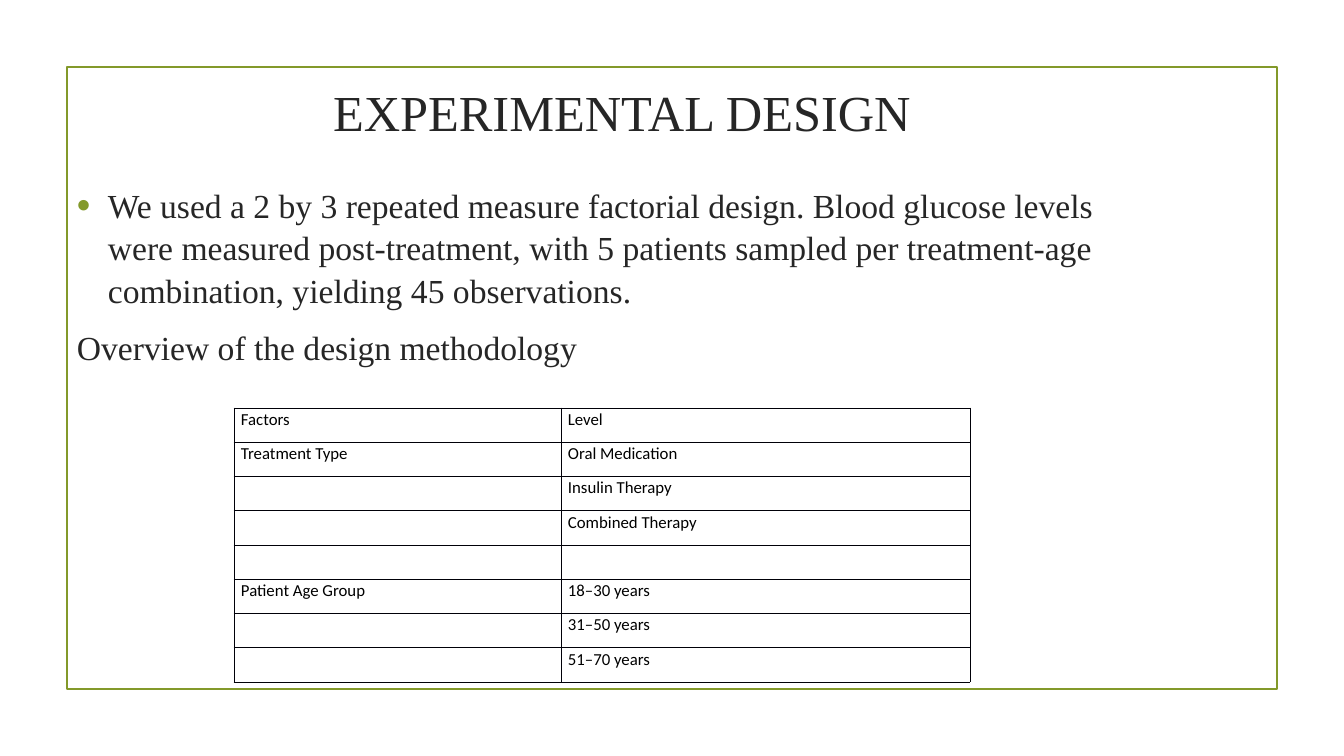
from lxml.etree import SubElement
from pptx import Presentation
from pptx.dml.color import RGBColor
from pptx.enum.shapes import MSO_SHAPE as Preset
from pptx.enum.text import MSO_ANCHOR as Anchor, PP_ALIGN as Align
from pptx.oxml.ns import qn
from pptx.util import Emu, Pt

PX = 914400 / 100.8
GREEN = RGBColor(0x83, 0x99, 0x2A)
DARK = RGBColor(0x26, 0x26, 0x26)
BLACK = RGBColor(0x00, 0x00, 0x00)
BORDER = RGBColor(0x00, 0x00, 0x08)

SERIF = "Times New Roman"
TITLE_FONT = {"name": SERIF, "size": Pt(36)}
BODY_FONT = {"name": SERIF, "size": Pt(24)}
CELL_FONT = {"name": "Calibri", "size": Pt(12)}
BODY_SPACING = {"space_before": Pt(4.8), "space_after": Pt(6), "line_spacing": 1.05}
CELL_FORMAT = {"margin_top": 0, "margin_bottom": 0}

DESIGN = (
    "We used a 2 by 3 repeated measure factorial design. Blood glucose levels "
    "were measured post-treatment, with 5 patients sampled per treatment-age "
    "combination, yielding 45 observations."
)
FACTOR_LEVELS = [
    ("Factors", "Level"),
    ("Treatment Type", "Oral Medication"),
    ("", "Insulin Therapy"),
    ("", "Combined Therapy"),
    ("", ""),
    ("Patient Age Group", "18–30 years"),
    ("", "31–50 years"),
    ("", "51–70 years"),
]


def px(length):
    return Emu(round(length * PX))


def box(*lengths):
    return [px(length) for length in lengths]


def apply(target, values):
    for name, value in values.items():
        setattr(target, name, value)


def write(paragraph, text, font, color):
    run = paragraph.add_run()
    run.text = text
    apply(run.font, font)
    run.font.color.rgb = color


def add_frame(slide):
    frame = slide.shapes.add_shape(Preset.RECTANGLE, *box(67, 67, 1210, 622))
    frame.shadow.inherit = False
    frame.fill.background()
    frame.line.color.rgb = GREEN
    frame.line.width = Pt(1.25)


def add_text_frame(slide, bounds, anchor):
    text_frame = slide.shapes.add_textbox(*bounds).text_frame
    apply(text_frame, {"word_wrap": True, "vertical_anchor": anchor})
    return text_frame


def add_title(slide):
    paragraph = add_text_frame(slide, box(93, 74, 1058, 75), Anchor.MIDDLE).paragraphs[0]
    paragraph.alignment = Align.CENTER
    write(paragraph, "EXPERIMENTAL DESIGN", TITLE_FONT, DARK)


def add_bullet(paragraph):
    properties = paragraph._p.get_or_add_pPr()
    properties.set("marL", str(px(31)))
    properties.set("indent", str(px(-31)))
    color = SubElement(properties, qn("a:buClr"))
    SubElement(color, qn("a:srgbClr"), val=str(GREEN))
    SubElement(properties, qn("a:buSzPct"), val="115000")
    SubElement(properties, qn("a:buFont"), typeface="Arial")
    SubElement(properties, qn("a:buChar"), char="•")


def add_body(slide):
    text_frame = add_text_frame(slide, box(67, 178, 1058, 366), Anchor.TOP)
    design, overview = text_frame.paragraphs[0], text_frame.add_paragraph()
    for paragraph, text in ((design, DESIGN), (overview, "Overview of the design methodology")):
        apply(paragraph, BODY_SPACING)
        write(paragraph, text, BODY_FONT, DARK)
    add_bullet(design)


def add_borders(cell):
    properties = cell._tc.get_or_add_tcPr()
    for side in "LRTB":
        line = SubElement(properties, qn(f"a:ln{side}"), w=str(Pt(0.5)))
        fill = SubElement(line, qn("a:solidFill"))
        SubElement(fill, qn("a:srgbClr"), val=str(BORDER))


def fill_cell(cell, text):
    apply(cell, CELL_FORMAT)
    apply(cell, {"margin_left": px(7), "margin_right": px(7)})
    add_borders(cell)
    cell.fill.background()
    if text:
        paragraph = cell.text_frame.paragraphs[0]
        paragraph.line_spacing = 1.07
        write(paragraph, text, CELL_FONT, BLACK)


def add_factor_table(slide):
    table = slide.shapes.add_table(len(FACTOR_LEVELS), 2, *box(234, 408, 736, 274)).table
    apply(table, {"first_row": False, "horz_banding": False})
    for column, width in zip(table.columns, (327, 409)):
        column.width = px(width)
    for row, texts in zip(table.rows, FACTOR_LEVELS):
        for cell, text in zip(row.cells, texts):
            fill_cell(cell, text)


def main():
    presentation = Presentation()
    apply(presentation, {"slide_width": px(1344), "slide_height": px(756)})
    slide = presentation.slides.add_slide(presentation.slide_layouts[6])
    add_frame(slide)
    add_title(slide)
    add_body(slide)
    add_factor_table(slide)
    presentation.save("out.pptx")


if __name__ == "__main__":
    main()
